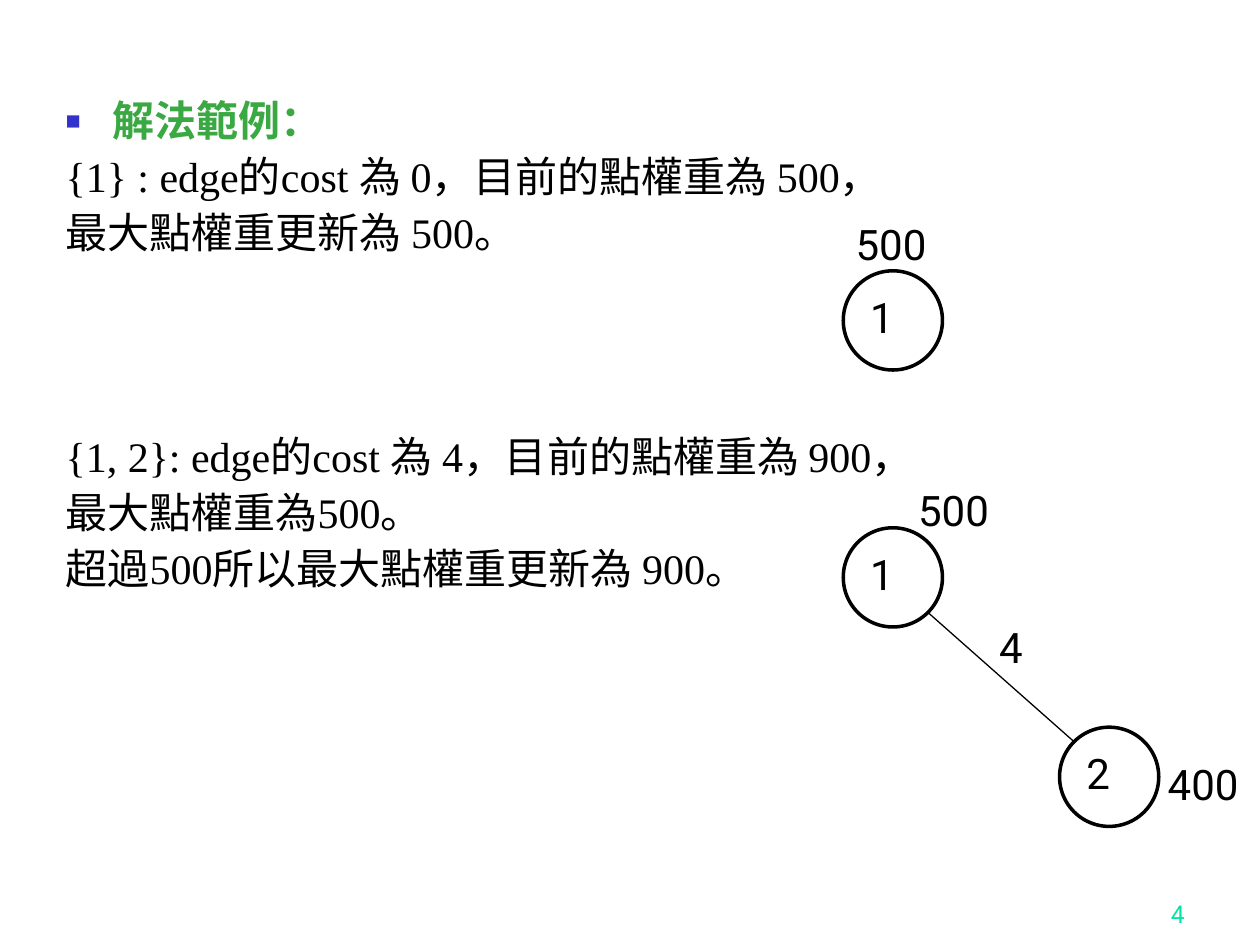
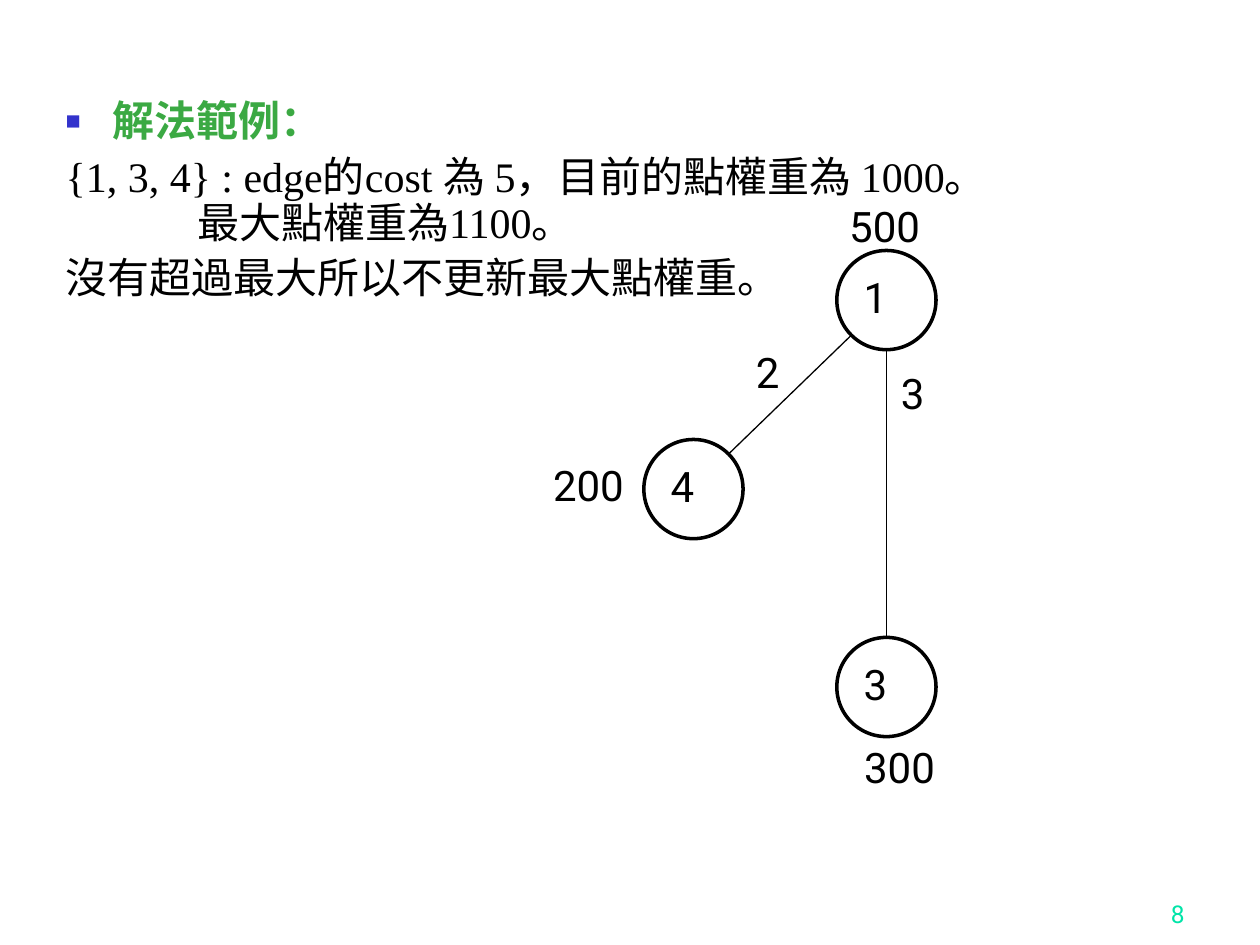
from math import hypot

from lxml.etree import SubElement
from pptx import Presentation
from pptx.dml.color import RGBColor
from pptx.enum.shapes import MSO_CONNECTOR, MSO_SHAPE
from pptx.enum.text import MSO_ANCHOR as Anchor, MSO_AUTO_SIZE as AutoSize, PP_ALIGN as Align
from pptx.oxml.ns import qn
from pptx.util import Cm, Pt

COLORS = {
    "text": "000000",
    "heading": "3BA943",
    "bullet": "3333CC",
    "page_number": "00E4A8",
    "node": "FFFFFF",
}
BODY_FONT = "Times New Roman"
GRAPH_FONT = "Roboto"
NODE_SIZE = 2
HANG = 0.95
HEADING = "解法範例："

# Lines: text, space before in points, left margin in cm, first-line indent in cm.
# Nodes: number -> left, top in cm. Edges: pairs of positions in the node list.
# Labels: text, left, top in cm.
PAGES = [
    {
        "number": "4",
        "lines": [
            ("{1} : edge的cost 為 0，目前的點權重為 500，", 6, HANG, -HANG),
            ("最大點權重更新為 500。", 6, HANG, -HANG),
            ("{1, 2}: edge的cost 為 4，目前的點權重為 900，", 102, HANG, -HANG),
            ("最大點權重為500。", 6, HANG, -HANG),
            ("超過500所以最大點權重更新為 900。", 6, HANG, -HANG),
        ],
        "nodes": [("1", 17, 5.46), ("1", 17, 10.64), ("2", 21.36, 14.66)],
        "edges": [(1, 2)],
        "labels": [("500", 17, 4.29), ("500", 18.26, 9.65),
                   ("400", 23.29, 15.16), ("4", 19.89, 12.4)],
    },
    {
        "number": "8",
        "lines": [
            ("{1, 3, 4} : edge的cost 為 5，目前的點權重為 1000。", 6, HANG, -HANG),
            ("最大點權重為1100。", 0, 2.65, 0),
            ("沒有超過最大所以不更新最大點權重。", 6, HANG, -HANG),
        ],
        "nodes": [("1", 16.87, 5.05), ("4", 12.98, 8.86), ("3", 16.87, 12.85)],
        "edges": [(0, 2), (0, 1)],
        "labels": [("500", 16.87, 3.91), ("200", 10.9, 9.14), ("300", 17.17, 14.83),
                   ("2", 14.99, 6.86), ("3", 17.91, 7.29)],
    },
]


def style_font(para, name, size, color, bold=False):
    para.font.name = name
    para.font.size = Pt(size)
    para.font.bold = bold
    para.font.color.rgb = RGBColor.from_string(COLORS[color])


def add_label(page, text, left, top, width=2.54):
    box = page.shapes.add_textbox(Cm(left), Cm(top), Cm(width), Cm(1.27))
    box.text_frame.word_wrap = True
    box.text_frame.text = text
    style_font(box.text_frame.paragraphs[0], GRAPH_FONT, 24, "text")
    return box


deck = Presentation()
deck.slide_width, deck.slide_height = Cm(25.4), Cm(19.05)

for content in PAGES:
    page = deck.slides.add_slide(deck.slide_layouts[1])
    title = page.shapes.title
    title.element.getparent().remove(title.element)

    number_box = add_label(page, content["number"], 18.85, 17.58, 5.28)
    number_box.text_frame.vertical_anchor = Anchor.BOTTOM
    number_para = number_box.text_frame.paragraphs[0]
    number_para.alignment = Align.RIGHT
    style_font(number_para, GRAPH_FONT, 14, "page_number")

    body = page.placeholders[1]
    body.left, body.top, body.width, body.height = Cm(1.07), Cm(1.9), Cm(22.43), Cm(15.62)
    frame = body.text_frame
    frame.auto_size = AutoSize.NONE
    frame.vertical_anchor = Anchor.TOP
    lines = [(HEADING, 0, HANG, -HANG)] + content["lines"]
    for index, (text, space, margin, indent) in enumerate(lines):
        para = frame.add_paragraph() if index else frame.paragraphs[0]
        para.text = text
        props = para._p.get_or_add_pPr()
        props.set("marL", str(Cm(margin)))
        props.set("indent", str(Cm(indent)))
        if index:
            SubElement(props, qn("a:buNone"))
        else:
            bullet_color = SubElement(props, qn("a:buClr"))
            SubElement(bullet_color, qn("a:srgbClr"), val=COLORS["bullet"])
            SubElement(props, qn("a:buSzPct"), val="60000")
            SubElement(props, qn("a:buFont"), typeface=BODY_FONT)
            SubElement(props, qn("a:buChar"), char="■")
        para.line_spacing = 0.9
        para.space_before = Pt(space)
        style_font(para, BODY_FONT, 24, "text" if index else "heading", bold=index == 0)

    for text, left, top in content["nodes"]:
        node = page.shapes.add_shape(
            MSO_SHAPE.OVAL, Cm(left), Cm(top), Cm(NODE_SIZE), Cm(NODE_SIZE))
        node.shadow.inherit = False
        node.fill.solid()
        node.fill.fore_color.rgb = RGBColor.from_string(COLORS["node"])
        node.line.color.rgb = RGBColor.from_string(COLORS["text"])
        node.line.width = Pt(2)
        node.text_frame.word_wrap = False
        node.text_frame.vertical_anchor = Anchor.TOP
        node.text_frame.text = text
        para = node.text_frame.paragraphs[0]
        para.alignment = Align.LEFT
        style_font(para, GRAPH_FONT, 24, "text")

    # Each edge leaves and meets the rims at a multiple of 45 degrees.
    radius = NODE_SIZE / 2
    for start, end in content["edges"]:
        _, x1, y1 = content["nodes"][start]
        _, x2, y2 = content["nodes"][end]
        step_x = (x2 > x1) - (x2 < x1)
        step_y = (y2 > y1) - (y2 < y1)
        reach = radius / hypot(step_x, step_y)
        edge = page.shapes.add_connector(
            MSO_CONNECTOR.STRAIGHT,
            Cm(x1 + radius + step_x * reach), Cm(y1 + radius + step_y * reach),
            Cm(x2 + radius - step_x * reach), Cm(y2 + radius - step_y * reach))
        edge.line.color.rgb = RGBColor.from_string(COLORS["text"])
        edge.line.width = Pt(0.75)
        SubElement(edge._element.spPr, qn("a:effectLst"))

    for text, left, top in content["labels"]:
        add_label(page, text, left, top)

deck.save("out.pptx")
